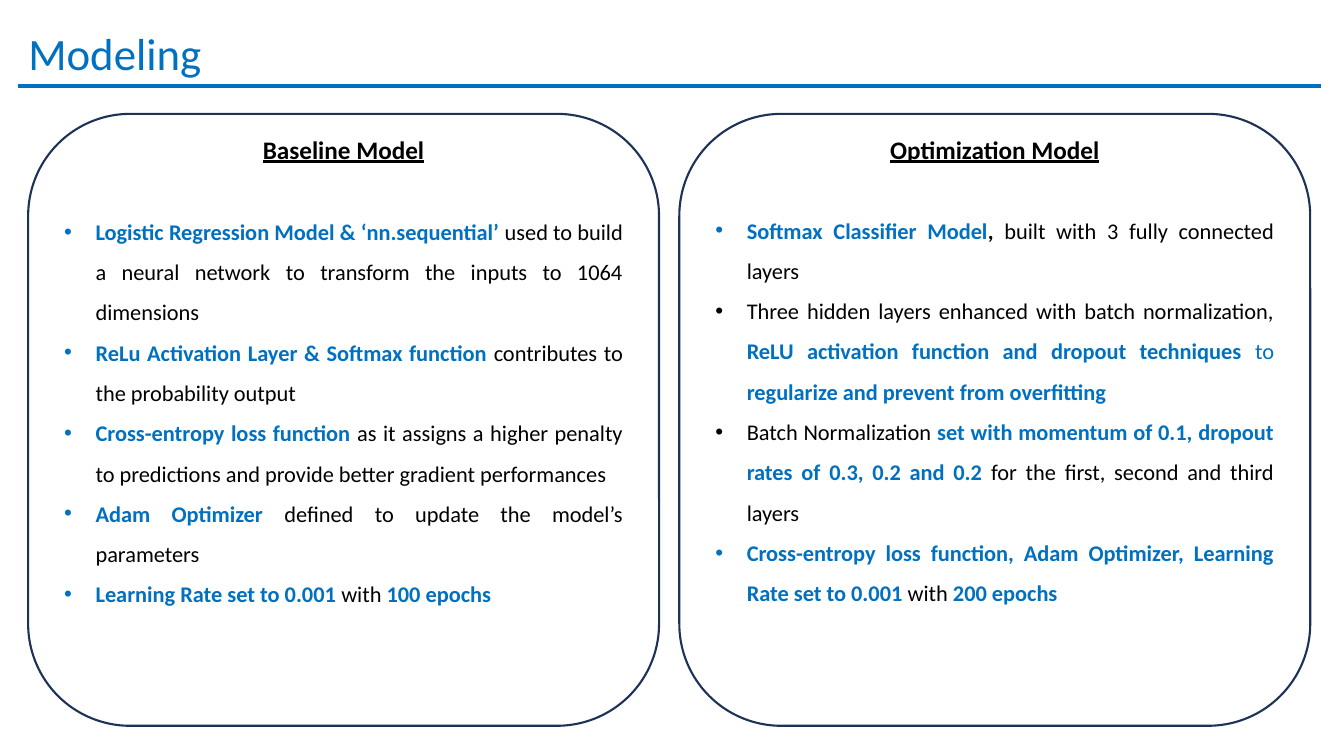
from typing import NamedTuple

from lxml.etree import SubElement
from pptx import Presentation
from pptx.dml.color import RGBColor
from pptx.enum.shapes import MSO_CONNECTOR as Line, MSO_SHAPE as Shape
from pptx.enum.text import MSO_ANCHOR as Anchor, MSO_AUTO_SIZE as Fit, PP_ALIGN as Align
from pptx.oxml.ns import qn
from pptx.util import Cm, Pt

BLUE, BLACK, NAVY = "0070C0", "000000", "1E3256"
FONT = "Calibri"
LEFT, TOP, WIDE, HIGH, STEP = 0.71, 2.87, 15.9, 15.42, 16.41
HEAD_TOP, HEAD_HIGH = 3.25, 1.02
INSET, INDENT = 0.66, 0.79


class Run(NamedTuple):
    text: str
    tint: str = BLACK
    bold: bool = False


class Panel(NamedTuple):
    head: str
    head_wide: float
    top: float
    high: float
    items: list[list[Run]]


def key(text: str) -> Run:
    return Run(text, BLUE, True)


PANELS = [
    Panel("Baseline Model", 4.9, 5.03, 10.41, [
        [key("Logistic Regression Model & ‘nn.sequential’ "),
         Run("used to build a neural network to transform the inputs to 1064 dimensions")],
        [key("ReLu Activation Layer & Softmax function "),
         Run("contributes to the probability output")],
        [key("Cross-entropy loss function "),
         Run("as it assigns a higher penalty to predictions and provide better "
             "gradient performances")],
        [key("Adam Optimizer "), Run("defined to update the model’s parameters")],
        [key("Learning Rate set to 0.001 "), Run("with "), key("100 epochs")],
    ]),
    Panel("Optimization Model", 5.82, 5.0, 11.43, [
        [key("Softmax Classifier Model"), Run(", ", bold=True),
         Run("built with 3 fully connected layers")],
        [Run("Three hidden layers enhanced with batch normalization, "),
         key("ReLU activation function and dropout techniques "),
         Run("to ", BLUE), key("regularize and prevent from overfitting")],
        [Run("Batch Normalization "),
         key("set with momentum of 0.1, dropout rates of 0.3, 0.2 and 0.2 "),
         Run("for the first, second and third layers")],
        [key("Cross-entropy loss function, Adam Optimizer, Learning Rate set to 0.001 "),
         Run("with "), key("200 epochs")],
    ]),
]


def paint(target, tint: str) -> None:
    target.rgb = RGBColor.from_string(tint)


def write(para, part: Run, size: float, under: bool = False) -> None:
    run = para.add_run()
    run.text = part.text
    font = run.font
    font.name, font.size, font.bold = FONT, Pt(size), part.bold
    if under:
        font.underline = True
    paint(font.color, part.tint)


def add_box(slide, left: float, top: float, wide: float, high: float):
    frame = slide.shapes.add_textbox(Cm(left), Cm(top), Cm(wide), Cm(high)).text_frame
    frame.word_wrap = True
    return frame


def add_bullet(para) -> None:
    props = para._p.get_or_add_pPr()
    props.set("marL", str(Cm(INDENT)))
    props.set("indent", str(-Cm(INDENT)))
    SubElement(props, qn("a:buFont")).set("typeface", "Arial")
    SubElement(props, qn("a:buChar")).set("char", "•")


def add_title(slide, text: str) -> None:
    title = slide.shapes.title
    title.left, title.top, title.width, title.height = Cm(0.46), Cm(0.53), Cm(4.93), Cm(1.63)
    frame = title.text_frame
    frame.word_wrap, frame.auto_size = False, Fit.NONE
    frame.vertical_anchor = Anchor.TOP
    para = frame.paragraphs[0]
    para.alignment = Align.LEFT
    write(para, Run(text, BLUE), 32)


def add_rule(slide) -> None:
    rule = slide.shapes.add_connector(
        Line.STRAIGHT, Cm(0.46), Cm(2.16), Cm(33.3), Cm(2.16))
    paint(rule.line.color, BLUE)
    rule.line.width = Pt(3)
    SubElement(rule._element.spPr, qn("a:effectLst"))


def add_panel(slide, panel: Panel, left: float) -> None:
    # Rounded frame
    card = slide.shapes.add_shape(
        Shape.ROUNDED_RECTANGLE, Cm(left), Cm(TOP), Cm(WIDE), Cm(HIGH))
    card.shadow.inherit = False
    card.fill.background()
    paint(card.line.color, NAVY)
    card.line.width = Pt(1.5)

    # Heading, centred on the frame
    head_left = left + (WIDE - panel.head_wide) / 2
    para = add_box(slide, head_left, HEAD_TOP, panel.head_wide, HEAD_HIGH).paragraphs[0]
    para.alignment = Align.CENTER
    write(para, Run(panel.head, bold=True), 18, under=True)

    # Bullet list
    frame = add_box(slide, left + INSET, panel.top, WIDE - 2 * INSET, panel.high)
    for i, item in enumerate(panel.items):
        para = frame.add_paragraph() if i else frame.paragraphs[0]
        para.alignment, para.line_spacing = Align.JUSTIFY, 1.5
        add_bullet(para)
        for part in item:
            write(para, part, 16)


def main() -> None:
    deck = Presentation()
    deck.slide_width, deck.slide_height = Cm(33.87), Cm(19.05)
    slide = deck.slides.add_slide(deck.slide_layouts[5])
    add_title(slide, "Modeling")
    add_rule(slide)
    for i, panel in enumerate(PANELS):
        add_panel(slide, panel, LEFT + i * STEP)
    deck.save("out.pptx")


if __name__ == "__main__":
    main()
